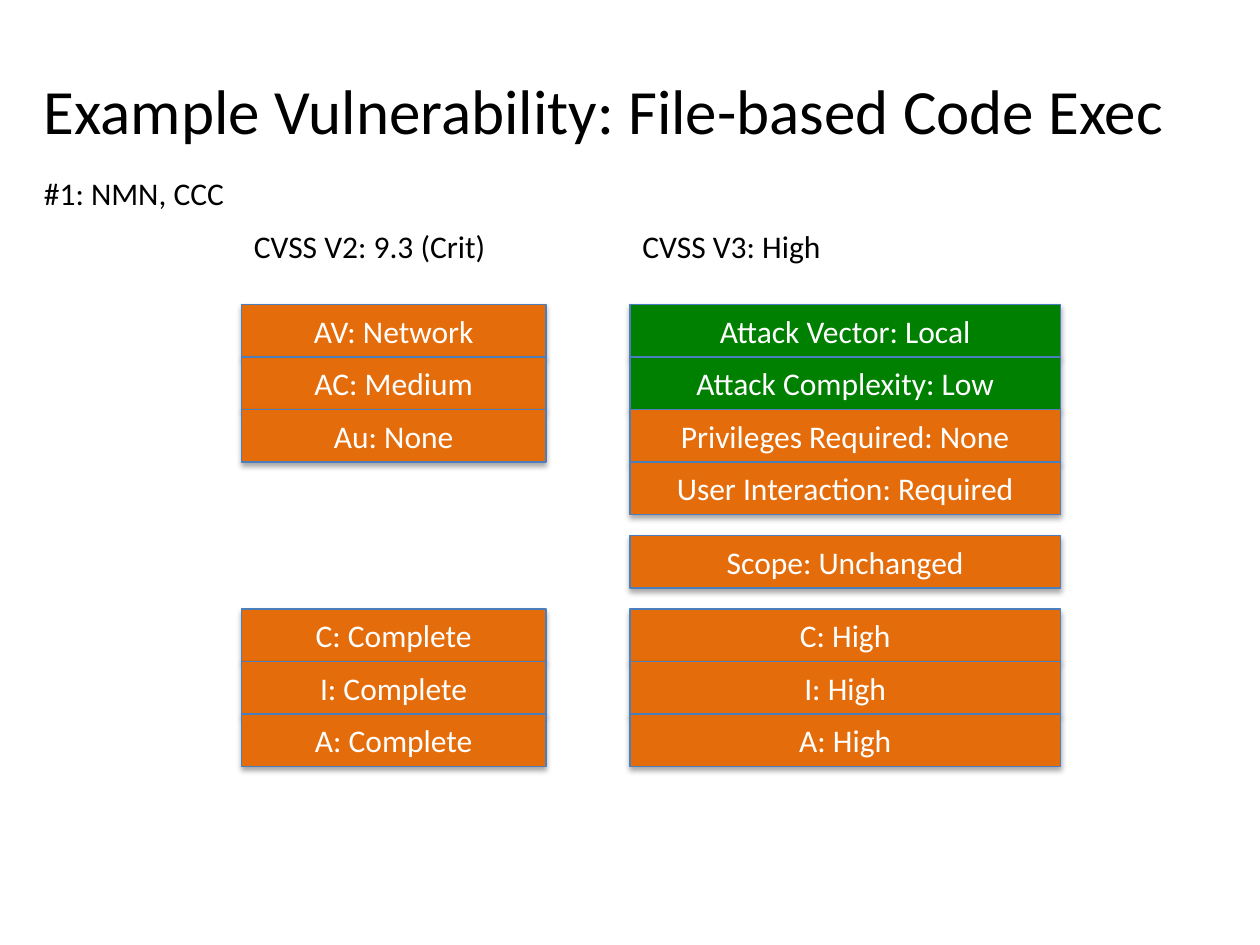
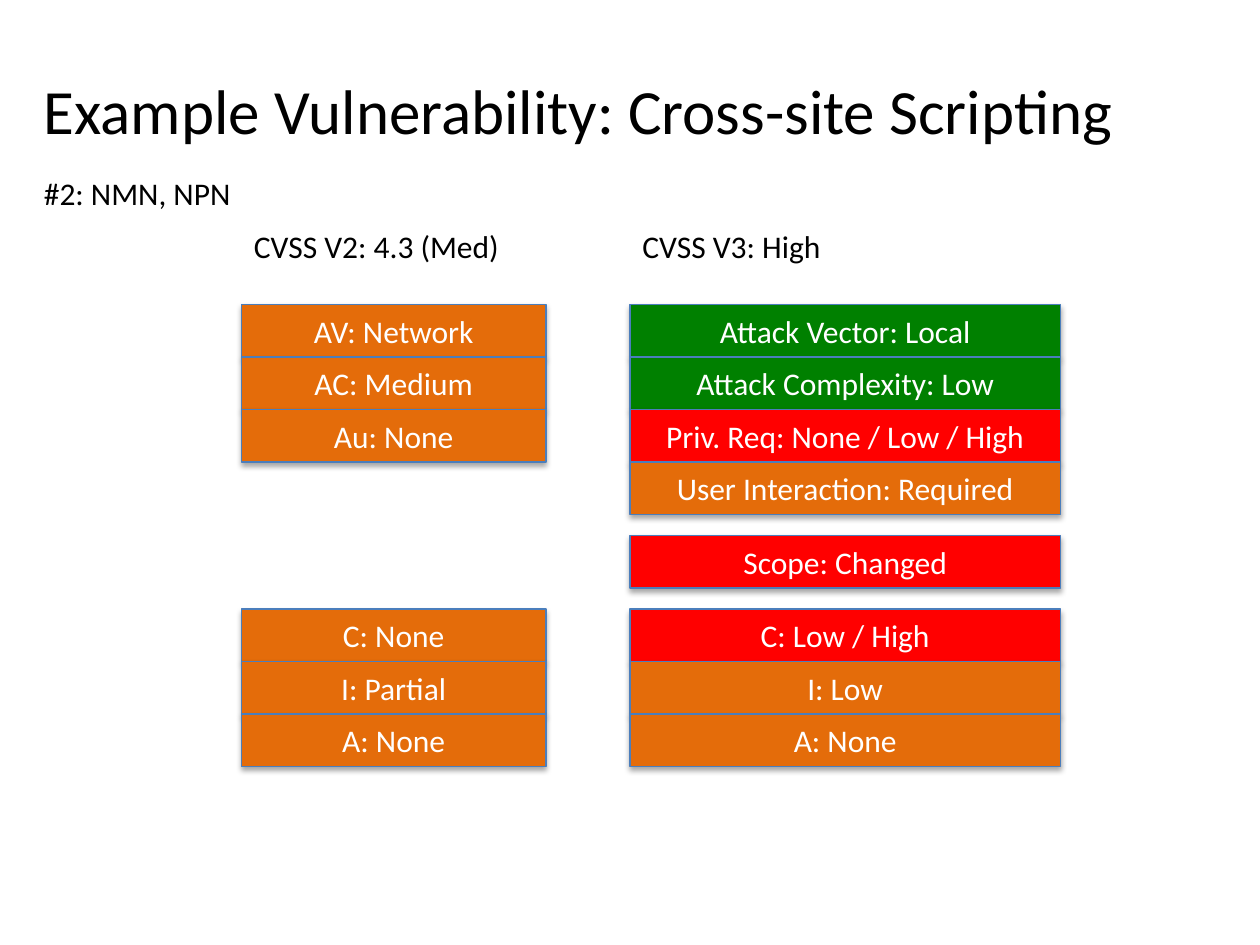
from dataclasses import dataclass

from lxml.etree import SubElement
from pptx import Presentation
from pptx.dml.color import RGBColor
from pptx.enum.shapes import MSO_SHAPE
from pptx.enum.text import MSO_ANCHOR, MSO_AUTO_SIZE, PP_ALIGN
from pptx.oxml.ns import qn
from pptx.slide import Slide
from pptx.text.text import TextFrame
from pptx.util import Inches, Pt

WIDE, HIGH = 10, 7.5
UNIT = WIDE / 120
FONT = "Calibri"
COLORS = {
    "same": "E46C0A",
    "lower": "008000",
    "higher": "FF0000",
    "edge": "4B7EBC",
    "shade": "000000",
    "ink": "000000",
    "paper": "FFFFFF",
}
ROW, GAP = 5, 2
TOP = 29
SCOPE = TOP + 4 * ROW + GAP
IMPACT = SCOPE + ROW + GAP
V2_ROWS = [TOP + ROW * i for i in range(3)] + [IMPACT + ROW * i for i in range(3)]
V3_ROWS = [TOP + ROW * i for i in range(4)] + [SCOPE] + [IMPACT + ROW * i for i in range(3)]


@dataclass(frozen=True)
class Label:
    text: str
    width: float


@dataclass(frozen=True)
class Metric:
    text: str
    kind: str = "same"


@dataclass(frozen=True)
class Score:
    label: Label
    metrics: list[Metric]


@dataclass(frozen=True)
class Column:
    left: float
    width: float
    rows: list[int]


@dataclass(frozen=True)
class Example:
    title: str
    vector: Label
    scores: tuple[Score, Score]


COLUMNS = (Column(23, 29, V2_ROWS), Column(60, 41, V3_ROWS))
ACCESS = [Metric("AV: Network"), Metric("AC: Medium"), Metric("Au: None")]
ATTACK = [Metric("Attack Vector: Local", "lower"), Metric("Attack Complexity: Low", "lower")]
USER = Metric("User Interaction: Required")
V3_LABEL = Label("CVSS V3: High", 19.6)

EXAMPLES = [
    Example(
        "Example Vulnerability: File-based Code Exec",
        Label("#1: NMN, CCC", 19.8),
        (
            Score(Label("CVSS V2: 9.3 (Crit)", 24.7), [
                *ACCESS,
                Metric("C: Complete"),
                Metric("I: Complete"),
                Metric("A: Complete"),
            ]),
            Score(V3_LABEL, [
                *ATTACK,
                Metric("Privileges Required: None"),
                USER,
                Metric("Scope: Unchanged"),
                Metric("C: High"),
                Metric("I: High"),
                Metric("A: High"),
            ]),
        ),
    ),
    Example(
        "Example Vulnerability: Cross-site Scripting",
        Label("#2: NMN, NPN", 20.4),
        (
            Score(Label("CVSS V2: 4.3 (Med)", 26), [
                *ACCESS,
                Metric("C: None"),
                Metric("I: Partial"),
                Metric("A: None"),
            ]),
            Score(V3_LABEL, [
                *ATTACK,
                Metric("Priv. Req: None / Low / High", "higher"),
                USER,
                Metric("Scope: Changed", "higher"),
                Metric("C: Low / High", "higher"),
                Metric("I: Low"),
                Metric("A: None"),
            ]),
        ),
    ),
]


def place(*cells: float) -> list[int]:
    return [Inches(cell * UNIT) for cell in cells]


def color(name: str) -> RGBColor:
    return RGBColor.from_string(COLORS[name])


def write(frame: TextFrame, text: str, size: int, ink: str) -> None:
    frame.text = text
    font = frame.paragraphs[0].runs[0].font
    font.name = FONT
    font.size = Pt(size)
    font.color.rgb = color(ink)


def add_title(slide: Slide, text: str) -> None:
    frame = slide.shapes.add_textbox(*place(3, 5.6, 112.7, 11)).text_frame
    frame.word_wrap = True
    frame.vertical_anchor = MSO_ANCHOR.MIDDLE
    write(frame, text, 36, "ink")
    frame.paragraphs[0].line_spacing = 0.8


def add_label(slide: Slide, label: Label, left: float, top: float) -> None:
    frame = slide.shapes.add_textbox(*place(left, top, label.width, 4.8)).text_frame
    frame.word_wrap = False
    frame.auto_size = MSO_AUTO_SIZE.SHAPE_TO_FIT_TEXT
    write(frame, label.text, 18, "ink")


def add_metric(slide: Slide, metric: Metric, column: Column, top: float) -> None:
    box = slide.shapes.add_shape(MSO_SHAPE.RECTANGLE, *place(column.left, top, column.width, ROW))
    box.fill.solid()
    box.fill.fore_color.rgb = color(metric.kind)
    box.line.color.rgb = color("edge")
    box.line.width = Pt(0.75)
    box.shadow.inherit = False
    effects = box._element.spPr.find(qn("a:effectLst"))
    shadow = SubElement(effects, qn("a:outerShdw"), blurRad=str(Pt(3.1)),
                        dist=str(Pt(1.8)), dir="5400000", rotWithShape="0")
    shade = SubElement(shadow, qn("a:srgbClr"), val=COLORS["shade"])
    SubElement(shade, qn("a:alpha"), val="35000")
    frame = box.text_frame
    frame.vertical_anchor = MSO_ANCHOR.MIDDLE
    write(frame, metric.text, 18, "paper")
    frame.paragraphs[0].alignment = PP_ALIGN.CENTER


def add_score(slide: Slide, score: Score, column: Column) -> None:
    for metric, top in zip(score.metrics, column.rows):
        add_metric(slide, metric, column, top)
    add_label(slide, score.label, column.left, 21)


def main() -> None:
    deck = Presentation()
    deck.slide_width, deck.slide_height = Inches(WIDE), Inches(HIGH)
    for example in EXAMPLES:
        slide = deck.slides.add_slide(deck.slide_layouts[6])
        add_title(slide, example.title)
        for score, column in zip(example.scores, COLUMNS):
            add_score(slide, score, column)
        add_label(slide, example.vector, 3, 16)
    deck.save("out.pptx")


if __name__ == "__main__":
    main()
